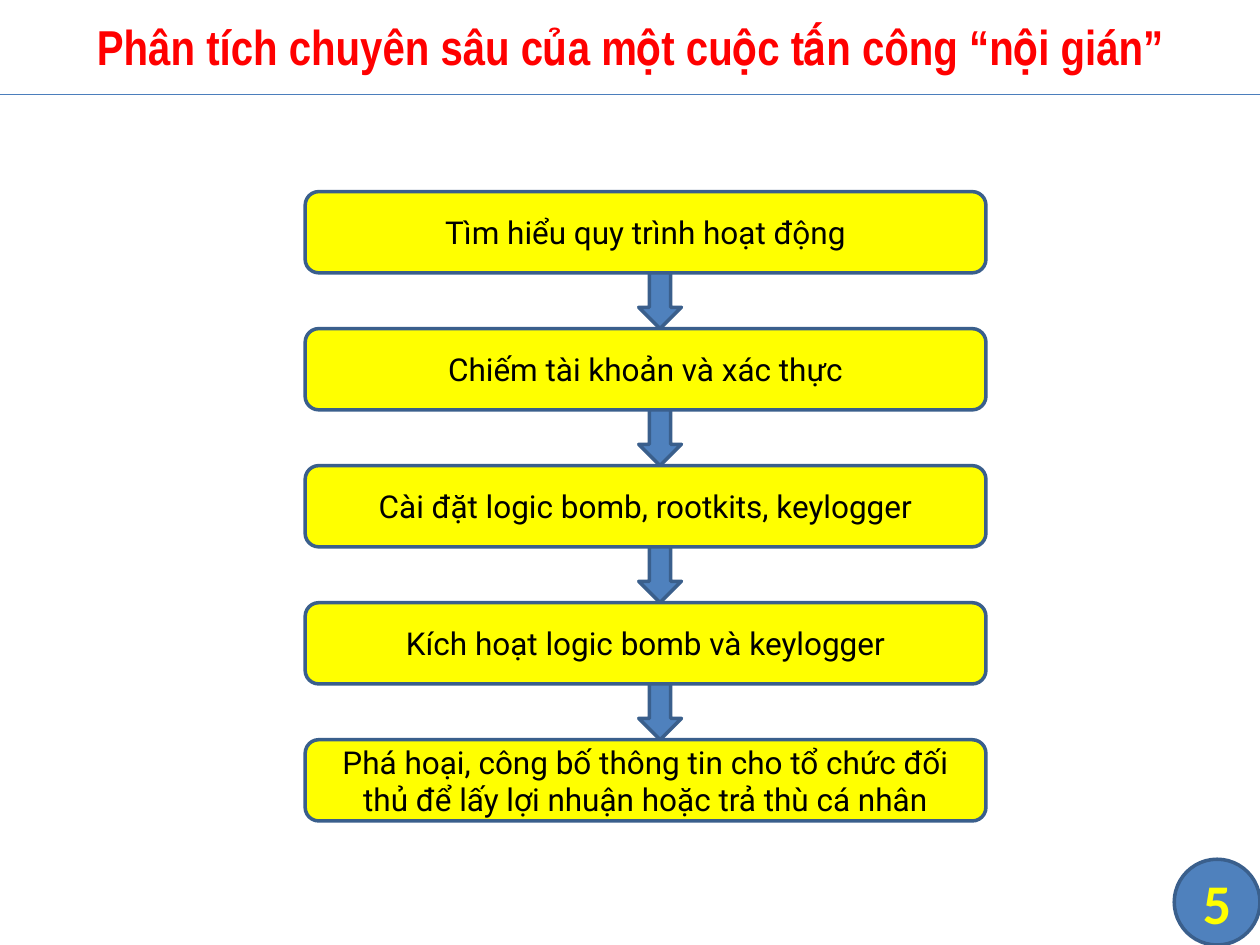
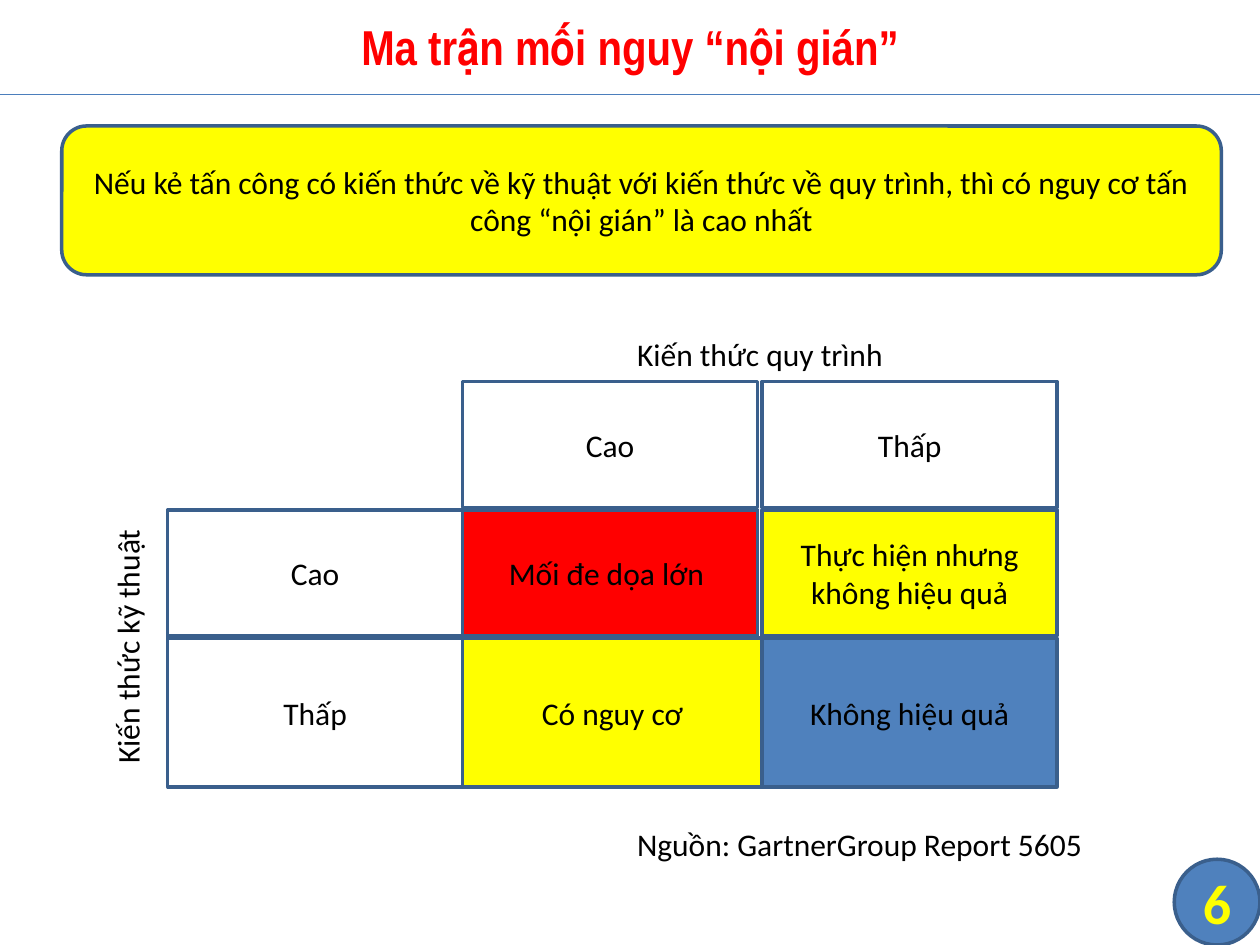
from lxml import etree
from pptx import Presentation
from pptx.dml.color import RGBColor
from pptx.enum.shapes import MSO_CONNECTOR, MSO_SHAPE
from pptx.enum.text import MSO_ANCHOR, MSO_AUTO_SIZE, PP_ALIGN
from pptx.oxml.ns import qn
from pptx.util import Pt

RED = RGBColor(0xFF, 0x00, 0x00)
YELLOW = RGBColor(0xFF, 0xFF, 0x00)
BLUE = RGBColor(0x4F, 0x81, 0xBD)
OUTLINE = RGBColor(0x3A, 0x5F, 0x8C)
RULE = RGBColor(0x4B, 0x7E, 0xBC)
WHITE = RGBColor(0xFF, 0xFF, 0xFF)
BLACK = RGBColor(0x00, 0x00, 0x00)

TITLE_FONT, BODY_FONT, STEP_FONT = "Arial Narrow", "Calibri", "Roboto"
RECT, ROUNDED = MSO_SHAPE.RECTANGLE, MSO_SHAPE.ROUNDED_RECTANGLE
DOWN_ARROW, CIRCLE = MSO_SHAPE.DOWN_ARROW, MSO_SHAPE.FLOWCHART_CONNECTOR
STRAIGHT = MSO_CONNECTOR.STRAIGHT
MIDDLE, CENTER, LEFT = MSO_ANCHOR.MIDDLE, PP_ALIGN.CENTER, PP_ALIGN.LEFT
FIT_SHAPE = MSO_AUTO_SIZE.SHAPE_TO_FIT_TEXT

WIDTH, HEIGHT = 720, 540
RULE_Y, BADGE = 54, 49


class Deck:
    """Holds the shared style and the current slide."""

    def __init__(self):
        self.prs = Presentation()
        self.prs.slide_width, self.prs.slide_height = Pt(WIDTH), Pt(HEIGHT)
        self.s = None

    def slide(self, title, number):
        self.s = self.prs.slides.add_slide(self.prs.slide_layouts[6])
        badge = (WIDTH - BADGE, HEIGHT - BADGE, BADGE, BADGE)
        self.shape(CIRCLE, badge, BLUE)
        self.rule(RULE_Y)
        sp = self.text(title, (0, -2, WIDTH, 56), 28, TITLE_FONT, RED, True, CENTER)
        sp.text_frame.vertical_anchor = MIDDLE
        sp = self.text(str(number), badge, 32, BODY_FONT, YELLOW, True, CENTER)
        tf = sp.text_frame
        tf.vertical_anchor = MIDDLE
        tf.margin_left = tf.margin_right = tf.margin_top = tf.margin_bottom = 0

    def rule(self, y):
        line = self.s.shapes.add_connector(STRAIGHT, 0, Pt(y), Pt(WIDTH), Pt(y))
        line.line.color.rgb = RULE
        line.line.width = Pt(0.75)
        etree.SubElement(line.element.spPr, qn("a:effectLst"))

    def shape(self, kind, box, fill, text="", font=BODY_FONT):
        sp = self.s.shapes.add_shape(kind, *map(Pt, box))
        sp.shadow.inherit = False
        sp.fill.solid()
        sp.fill.fore_color.rgb = fill
        sp.line.color.rgb = OUTLINE
        sp.line.width = Pt(2)
        if text:
            sp.text_frame.vertical_anchor = MIDDLE
            self.set_text(sp.text_frame, text, 18, font, BLACK, False, CENTER)

    def text(self, text, box, size=18, font=BODY_FONT, color=BLACK, bold=False,
             align=LEFT):
        sp = self.s.shapes.add_textbox(*map(Pt, box))
        sp.text_frame.word_wrap = True
        self.set_text(sp.text_frame, text, size, font, color, bold, align)
        return sp

    def label(self, text, box, upward=False):
        sp = self.text(text, box)
        sp.text_frame.word_wrap = False
        sp.text_frame.auto_size = FIT_SHAPE
        if upward:
            sp.element.txBody.bodyPr.set("vert", "vert270")

    def set_text(self, tf, text, size, font, color, bold, align):
        tf.text = text
        p = tf.paragraphs[0]
        p.alignment = align
        r = p.runs[0]
        r.font.size, r.font.name, r.font.bold = Pt(size), font, bold
        r.font.color.rgb = color


def attack_steps(deck):
    deck.slide("Phân tích chuyên sâu của một cuộc tấn công “nội gián”", 5)
    steps = [
        "Tìm hiểu quy trình hoạt động",
        "Chiếm tài khoản và xác thực",
        "Cài đặt logic bomb, rootkits, keylogger",
        "Kích hoạt logic bomb và keylogger",
        "Phá hoại, công bố thông tin cho tổ chức đối thủ để lấy lợi nhuận "
        "hoặc trả thù cá nhân",
    ]
    top, height, pitch = 109.5, 46.4, 78.3
    tops = [top + i * pitch for i in range(len(steps))]
    for y, step in zip(tops, steps):
        deck.shape(ROUNDED, (174.4, y, 389, height), YELLOW, step, STEP_FONT)
    for y in tops[:-1]:
        deck.shape(DOWN_ARROW, (365, y + height, 24.4, pitch - height), BLUE)


def threat_matrix(deck):
    deck.slide("Ma trận mối nguy “nội gián”", 6)
    columns = [(95.8, 168.5), (264.4, 168.5), (435.6, 168.5)]
    rows = [(218, 72), (291.5, 72), (364.6, 85)]
    cells = [
        [None, ("Cao", WHITE), ("Thấp", WHITE)],
        [("Cao", WHITE), ("Mối đe dọa lớn ", RED),
         ("Thực hiện nhưng không hiệu quả", YELLOW)],
        [("Thấp", WHITE), ("Có nguy cơ", YELLOW), ("Không hiệu quả", BLUE)],
    ]
    wide_cell = "Có nguy cơ"
    for (y, height), row in zip(rows, cells):
        for (x, width), cell in zip(columns, row):
            if cell:
                text, fill = cell
                if text == wide_cell:
                    width = columns[2][0] - x
                deck.shape(RECT, (x, y, width, height), fill, text)
    deck.shape(ROUNDED, (35.3, 72, 662.6, 85), YELLOW,
               "Nếu kẻ tấn công có kiến thức về kỹ thuật với kiến thức về quy trình, "
               "thì có nguy cơ tấn công “nội gián” là cao nhất")
    deck.label("Kiến thức quy trình", (357, 188, 157, 29))
    deck.label("Kiến thức kỹ thuật", (58.3, 301, 36, 142.5), upward=True)
    deck.label("Nguồn: GartnerGroup Report 5605", (357, 468, 272, 29))


def main():
    deck = Deck()
    attack_steps(deck)
    threat_matrix(deck)
    deck.prs.save("out.pptx")


if __name__ == "__main__":
    main()
